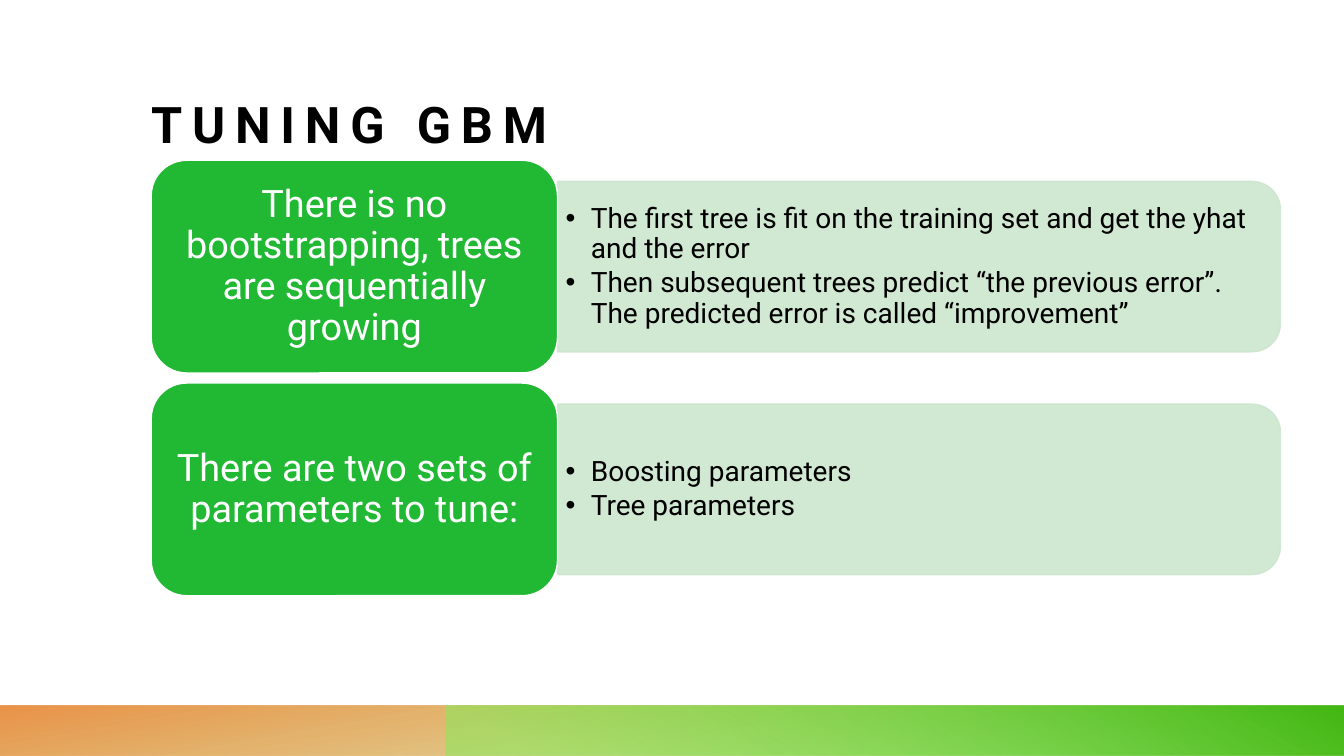
from lxml.etree import SubElement
from pptx import Presentation
from pptx.dml.color import RGBColor as RGB
from pptx.enum.shapes import MSO_SHAPE as SHAPE
from pptx.enum.text import MSO_ANCHOR as ANCHOR, MSO_AUTO_SIZE as AUTO, PP_ALIGN as ALIGN
from pptx.oxml.ns import qn
from pptx.util import Inches, Pt

COLORS = {
    "black": "000000", "white": "FFFFFF", "card": "21B834", "panel": "CDE6CE",
    "olive": "B5A114", "orange": "E78029", "lime": "85ED59", "green": "44B814",
}
FONT = "Roboto"
WIDTH, HEIGHT = 13.33, 7.5
LEFT, TOP = 1.5, 1.59
CARD_W, CARD_H, ROW_PITCH = 4.03, 2.11, 2.21
PANEL_W, PANEL_H = 7.17, 1.69
LIST_W, LIST_H = 7.09, 1.52
FOOTER_H = HEIGHT / 15
ROWS = [
    ("There is no bootstrapping, trees are sequentially growing",
     ["The first tree is fit on the training set and get the yhat and the error",
      "Then subsequent trees predict “the previous error”. "
      "The predicted error is called “improvement”"]),
    ("There are two sets of parameters to tune:",
     ["Boosting parameters", "Tree parameters"]),
]


def rgb(name):
    return RGB.from_string(COLORS[name])


def place(s, x, y, w, h):
    s.left, s.top, s.width, s.height = (Inches(v) for v in (x, y, w, h))


def set_alpha(color, percent):
    SubElement(color, qn("a:alpha"), val=str(percent * 1000))


def add_bullet(p, indent):
    pPr = p._p.get_or_add_pPr()
    pPr.set("marL", str(Inches(indent)))
    pPr.set("indent", str(-Inches(indent)))
    SubElement(pPr, qn("a:buFont"), typeface="Arial")
    SubElement(pPr, qn("a:buChar"), char="•")


def write(s, *lines, size, color, bold=False, align=ALIGN.LEFT, anchor=ANCHOR.MIDDLE,
          margins=(0, 0), line_spacing=0.9, after=0, tracking=0, bullet=0):
    tf = s.text_frame
    tf.word_wrap = True
    tf.auto_size = AUTO.NONE
    tf.vertical_anchor = anchor
    tf.margin_left = tf.margin_right = Inches(margins[0])
    tf.margin_top = tf.margin_bottom = Inches(margins[1])
    for i, line in enumerate(lines):
        p = tf.add_paragraph() if i else tf.paragraphs[0]
        p.alignment = align
        p.line_spacing = line_spacing
        p.space_before, p.space_after = Pt(0), Pt(after)
        if bullet:
            add_bullet(p, bullet)
        r = p.add_run()
        r.text = line
        r.font.name, r.font.size, r.font.bold = FONT, Pt(size), bold
        r.font.color.rgb = rgb(color)
        if tracking:
            r._r.get_or_add_rPr().set("spc", str(tracking * 100))


def add_preset(slide, preset, x, y, w, h):
    s = slide.shapes.add_shape(preset, *(Inches(v) for v in (x, y, w, h)))
    s.shadow.inherit = False
    return s


def add_footer_bar(slide, x, stops, angle, rotation=0):
    s = add_preset(slide, SHAPE.RECTANGLE, x, HEIGHT - FOOTER_H, WIDTH - x, FOOTER_H)
    s.line.fill.background()
    s.rotation = rotation
    s._element.spPr.find(qn("a:xfrm")).set("flipH", "1")
    s.fill.gradient()
    s.fill.gradient_angle = 360 - angle
    for stop, (position, color, _) in zip(s.fill.gradient_stops, stops):
        stop.position = position
        stop.color.rgb = rgb(color)
    for color, (_, _, alpha) in zip(s._element.spPr.iter(qn("a:srgbClr")), stops):
        set_alpha(color, alpha)


def add_panel(slide, x, y):
    shift = (PANEL_W - PANEL_H) / 2
    s = add_preset(slide, SHAPE.ROUND_2_SAME_RECTANGLE, x + shift, y - shift, PANEL_H, PANEL_W)
    s.rotation = 90
    s.fill.solid()
    s.fill.fore_color.rgb = s.line.color.rgb = rgb("panel")
    s.line.width = Pt(1)
    for color in s._element.spPr.iter(qn("a:srgbClr")):
        set_alpha(color, 90)


def add_card(slide, x, y, text):
    s = add_preset(slide, SHAPE.ROUNDED_RECTANGLE, x, y, CARD_W, CARD_H)
    s.fill.solid()
    s.fill.fore_color.rgb = rgb("card")
    s.line.color.rgb = rgb("white")
    s.line.width = Pt(1)
    write(s, text, size=27, color="white", align=ALIGN.CENTER, margins=(0.11, 0.06))


def add_row(slide, holder, y, heading, points):
    x = LEFT + CARD_W
    add_panel(slide, x, y + (CARD_H - PANEL_H) / 2)
    slide.shapes._spTree.append(holder._element)
    place(holder, x, y + (CARD_H - LIST_H) / 2, LIST_W, LIST_H)
    write(holder, *points, size=20, color="black", margins=(0.08, 0.04), after=3, bullet=0.25)
    add_card(slide, LEFT, y, heading)


def main():
    prs = Presentation()
    prs.slide_width, prs.slide_height = Inches(WIDTH), Inches(HEIGHT)
    slide = prs.slides.add_slide(prs.slide_layouts[3])
    title, *holders = slide.placeholders
    add_footer_bar(slide, 0, [(0.14, "olive", 28), (1, "orange", 85)], 100, rotation=180)
    add_footer_bar(slide, 4.42, [(0.09, "lime", 55), (0.99, "green", 100)], 240)
    place(title, LEFT, 0.87, 11.2, 0.65)
    write(title, "TUNING GBM", size=36, color="black", bold=True, anchor=ANCHOR.BOTTOM,
          line_spacing=1, tracking=7)
    for i, (holder, (heading, points)) in enumerate(zip(holders, ROWS)):
        add_row(slide, holder, TOP + i * ROW_PITCH, heading, points)
    prs.save("out.pptx")


if __name__ == "__main__":
    main()
